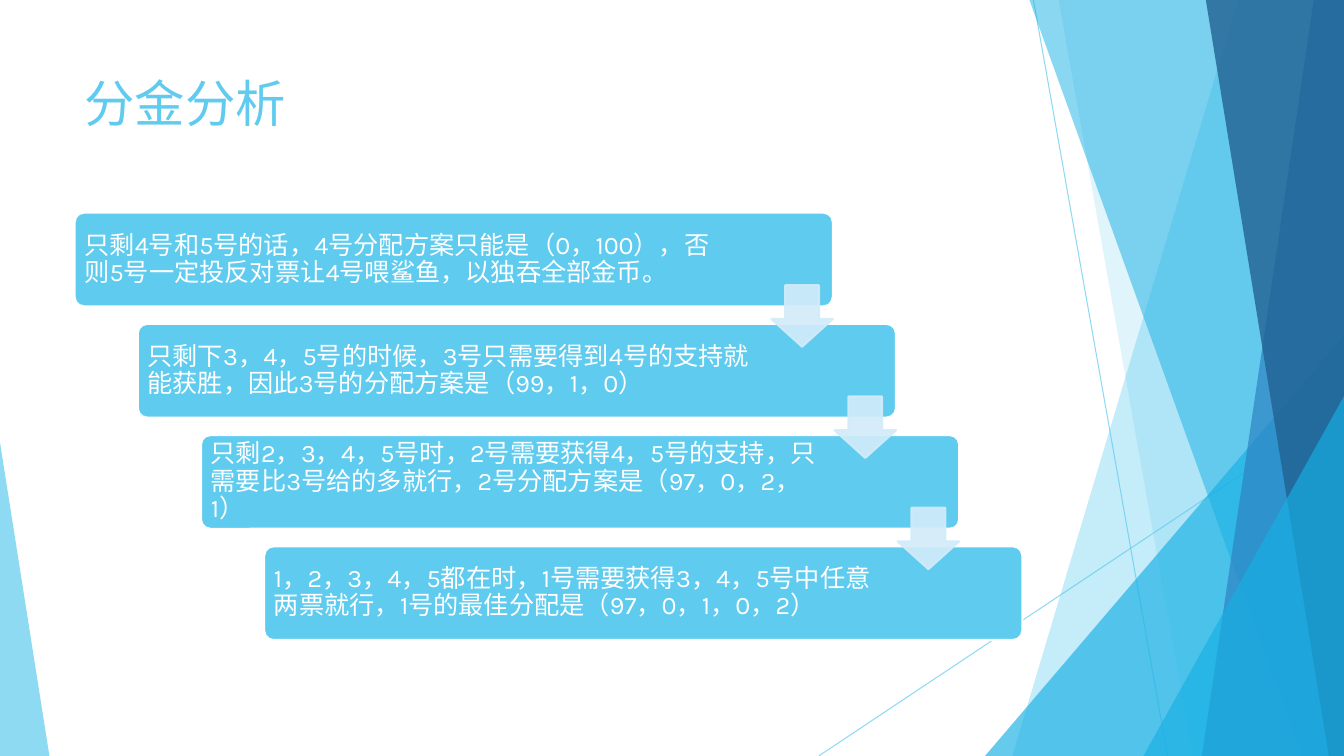
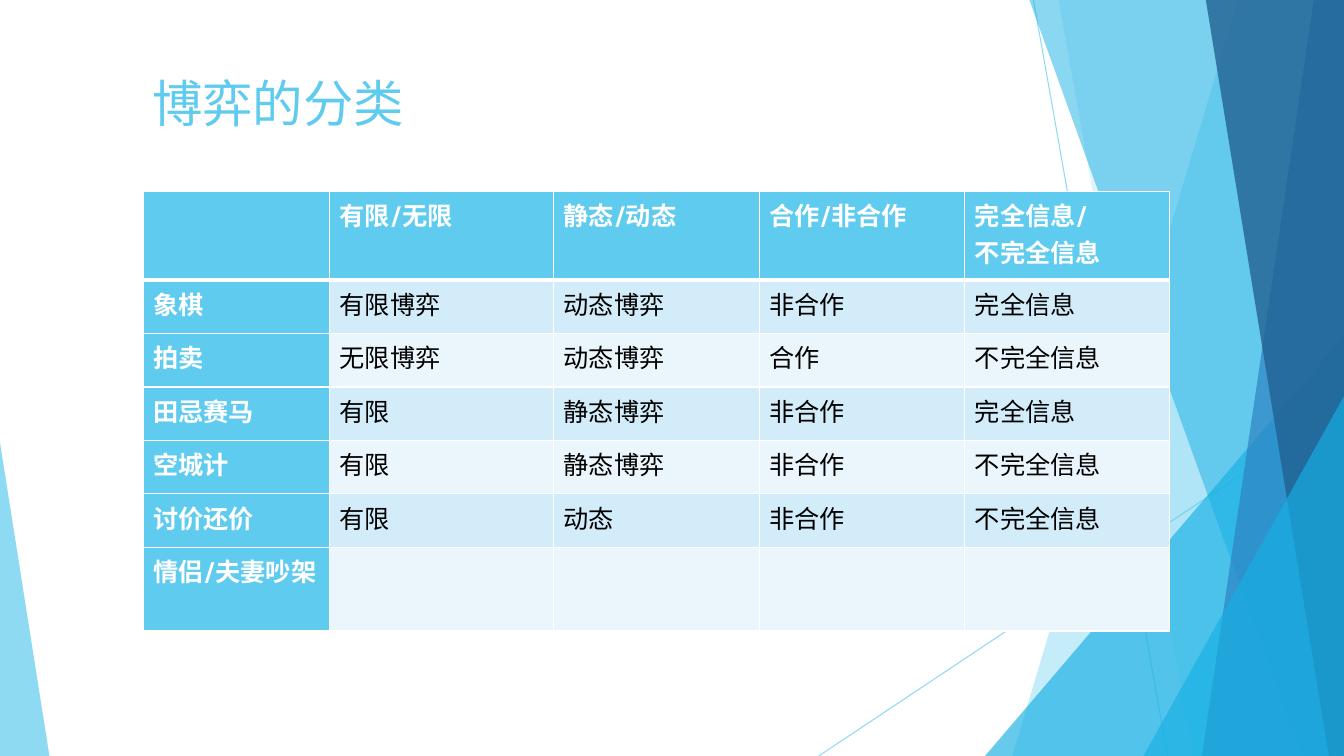
from lxml import etree
from pptx import Presentation, util as u
from pptx.dml.color import RGBColor
from pptx.enum import shapes, text
from pptx.oxml.ns import qn

SKY = RGBColor(0x5F, 0xCB, 0xEF)
AZURE = RGBColor(0x17, 0xB0, 0xE4)
BLUE = RGBColor(0x2E, 0x83, 0xC3)
NAVY = RGBColor(0x22, 0x62, 0x92)
PALE = RGBColor(0xD2, 0xEC, 0xF9)
MIST = RGBColor(0xEA, 0xF6, 0xFC)
WHITE = RGBColor(0xFF, 0xFF, 0xFF)
BLACK = RGBColor(0, 0, 0)
BODY_FONT = "Karla"

deck = Presentation()
deck.slide_width, deck.slide_height = u.Inches(13.33), u.Inches(7.5)
WIDTH, HEIGHT = deck.slide_width, deck.slide_height


def paint(shape, color, opacity=100, outline=None):
    """Fill a shape without shadow; opacity in percent covers fill and line."""
    shape.shadow.inherit = False
    shape.fill.solid()
    shape.fill.fore_color.rgb = color
    if outline is None:
        shape.line.fill.background()
    else:
        shape.line.color.rgb = outline
        shape.line.width = u.Pt(1.5)
    if opacity < 100:
        for tint in shape.element.iter(qn("a:srgbClr")):
            etree.SubElement(tint, qn("a:alpha"), val=str(opacity * 1000))


def write(frame, words, size, color, font=BODY_FONT, bold=False):
    """Put text in a frame, left aligned, one paragraph per line."""
    frame.word_wrap = True
    frame.text = words
    for para in frame.paragraphs:
        para.alignment = text.PP_ALIGN.LEFT
        for span in para.runs:
            span.font.size, span.font.name = u.Pt(size), font
            span.font.bold, span.font.color.rgb = bold, color


# Shared backdrop: rays as x1, y1, x2, y2; bands as top x, bottom x
# (both run to the right edge); wedges as left, top, right, apex side
RAYS = [(10.25, 0, 11.58, 7.5), (13.33, 4.03, 8.12, 7.5)]
FACETS = [
    ("band", (12.28, 10.04), SKY, 36),
    ("band", (10.5, 11.83), SKY, 20),
    ("wedge", (9.77, 3.33, 13.33, 1), AZURE, 66),
    ("band", (10.21, 12.91), AZURE, 50),
    ("band", (13.03, 11.92), BLUE, 70),
    ("band", (11.96, 13.18), NAVY, 80),
    ("wedge", (11.34, 3.93, 13.33, 1), AZURE, 66),
    ("wedge", (0, 4.39, 0.49, 0), SKY, 70),
]
TITLES = [("分金分析", 0.74, 9.4, BODY_FONT), ("博弈的分类", 1.41, 11.15, "Roboto")]

pages = []
for title, left, width, font in TITLES:
    page = deck.slides.add_slide(deck.slide_layouts[6])
    pages.append(page)
    for ray in RAYS:
        line = page.shapes.add_connector(
            shapes.MSO_CONNECTOR.STRAIGHT, *[u.Inches(v) for v in ray])
        line.line.color.rgb = SKY
        line.line.width = u.Pt(0.75)
        for tint in line.element.iter(qn("a:srgbClr")):
            etree.SubElement(tint, qn("a:alpha"), val="70000")
        etree.SubElement(line.element.spPr, qn("a:effectLst"))
    for kind, place, color, opacity in FACETS:
        if kind == "band":
            top_x, bottom_x = [u.Inches(v) for v in place]
            outline = page.shapes.build_freeform(top_x, 0)
            outline.add_line_segments([(WIDTH, 0), (WIDTH, HEIGHT), (bottom_x, HEIGHT)])
            facet = outline.convert_to_shape()
        else:
            x, y, right = [u.Inches(v) for v in place[:3]]
            facet = page.shapes.add_shape(
                shapes.MSO_SHAPE.ISOSCELES_TRIANGLE, x, y, right - x, HEIGHT - y)
            facet.adjustments[0] = place[3]
        paint(facet, color, opacity)
    box = page.shapes.add_textbox(
        u.Inches(left), u.Inches(0.67), u.Inches(width), u.Inches(1.2))
    write(box.text_frame, title, 36, SKY, font)

# Slide 1: staircase of steps joined by arrows
STEPS = [
    "只剩4号和5号的话，4号分配方案只能是（0，100），否则5号一定投反对票让4号喂鲨鱼，以独吞全部金币。",
    "只剩下3，4，5号的时候，3号只需要得到4号的支持就能获胜，因此3号的分配方案是（99，1，0）",
    "只剩2，3，4，5号时，2号需要获得4，5号的支持，只需要比3号给的多就行，2号分配方案是（97，0，2，1）",
    "1，2，3，4，5都在时，1号需要获得3，4，5号中任意两票就行，1号的最佳分配是（97，0，1，0，2）",
]
CARD_W, CARD_H = u.Inches(7.52), u.Inches(0.93)
STEP_X, STEP_Y = CARD_W / 12, u.Inches(3.31) / 3
ARROW = u.Inches(0.61)
corners = [(int(u.Inches(0.74) + i * STEP_X), int(u.Inches(2.11) + i * STEP_Y))
           for i in range(len(STEPS))]

for i, (words, (x, y)) in enumerate(zip(STEPS, corners)):
    card = pages[0].shapes.add_shape(
        shapes.MSO_SHAPE.ROUNDED_RECTANGLE, x, y, CARD_W, CARD_H)
    card.adjustments[0] = 0.1
    paint(card, SKY, outline=WHITE)
    frame = card.text_frame
    frame.margin_left = frame.margin_top = frame.margin_bottom = u.Inches(0.07)
    frame.margin_right = u.Inches(1.3 if i else 1.1)
    frame.vertical_anchor = text.MSO_ANCHOR.MIDDLE
    write(frame, words, 18, WHITE)
    frame.paragraphs[0].line_spacing = 0.9

for x, y in corners[:-1]:
    arrow = pages[0].shapes.add_shape(
        shapes.MSO_SHAPE.DOWN_ARROW, x + CARD_W - ARROW, y + u.Inches(0.72), ARROW, ARROW)
    arrow.adjustments[0], arrow.adjustments[1] = 0.55, 0.45
    paint(arrow, PALE, 90, PALE)

# Slide 2: classification table
ROWS = [
    ["", "有限/无限", "静态/动态", "合作/非合作", "完全信息/\n不完全信息"],
    ["象棋", "有限博弈", "动态博弈", "非合作", "完全信息"],
    ["拍卖", "无限博弈", "动态博弈", "合作", "不完全信息"],
    ["田忌赛马", "有限", "静态博弈", "非合作", "完全信息"],
    ["空城计", "有限", "静态博弈", "非合作", "不完全信息"],
    ["讨价还价", "有限", "动态", "非合作", "不完全信息"],
    ["情侣/夫妻吵架", "", "", "", ""],
]
COLUMNS = [1.85, 2.22, 2.04, 2.04, 2.03]
# The first and last rows hold two lines of text
HEIGHTS = [0.88] + [0.53] * (len(ROWS) - 2) + [0.83]
table = pages[1].shapes.add_table(
    len(ROWS), len(COLUMNS), u.Inches(1.42), u.Inches(1.9),
    u.Inches(sum(COLUMNS)), u.Inches(sum(HEIGHTS))).table
for column, width in zip(table.columns, COLUMNS):
    column.width = u.Inches(width)

for r, row in enumerate(ROWS):
    table.rows[r].height = u.Inches(HEIGHTS[r])
    for c, words in enumerate(row):
        cell = table.cell(r, c)
        heading = r == 0 or c == 0
        # White grid, with a thick rule under the header row
        for side in ("lnL", "lnR", "lnT", "lnB"):
            thick = (r, side) in [(0, "lnB"), (1, "lnT")]
            border = etree.SubElement(cell._tc.get_or_add_tcPr(), qn("a:" + side),
                                      w=str(u.Pt(3 if thick else 1)))
            fill = etree.SubElement(border, qn("a:solidFill"))
            etree.SubElement(fill, qn("a:srgbClr"), val=str(WHITE))
        cell.fill.solid()
        cell.fill.fore_color.rgb = SKY if heading else PALE if r % 2 else MIST
        write(cell.text_frame, words, 18, WHITE if heading else BLACK, bold=heading)

deck.save("out.pptx")
